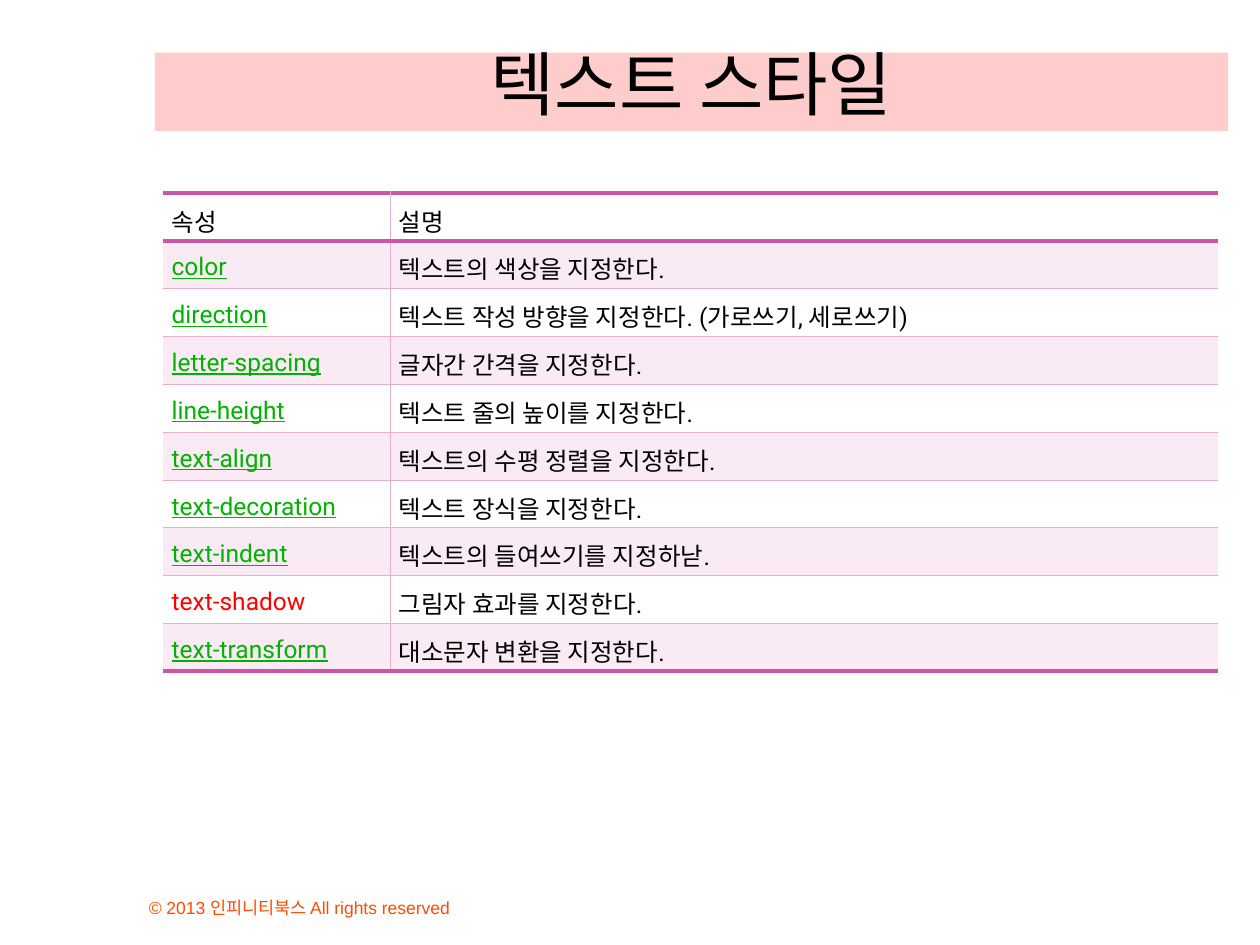
from collections import namedtuple

from lxml.etree import SubElement
from pptx import Presentation
from pptx.dml.color import RGBColor
from pptx.enum.text import MSO_ANCHOR, PP_ALIGN
from pptx.oxml.ns import qn
from pptx.util import Cm, Pt

BLACK = RGBColor(0x00, 0x00, 0x00)
WHITE = RGBColor(0xFF, 0xFF, 0xFF)
GREEN = RGBColor(0x00, 0xB2, 0x00)
RED = RGBColor(0xFF, 0x00, 0x00)
ORANGE = RGBColor(0xFF, 0x4C, 0x00)
TITLE_PINK = RGBColor(0xFF, 0xCC, 0xCC)
BAND_PINK = RGBColor(0xF9, 0xEA, 0xF4)
RULE_PINK = RGBColor(0xE5, 0xAE, 0xD4)
RULE_PURPLE = RGBColor(0xCA, 0x56, 0xA7)

Box = namedtuple("Box", "left top width height")
THIN = (RULE_PINK, 0.28)
THICK = (RULE_PURPLE, 2.55)

HEADER = ("속성", "설명")
PROPERTIES = [
    ("color", "텍스트의 색상을 지정한다."),
    ("direction", "텍스트 작성 방향을 지정한다. (가로쓰기, 세로쓰기)"),
    ("letter-spacing", "글자간 간격을 지정한다."),
    ("line-height", "텍스트 줄의 높이를 지정한다."),
    ("text-align", "텍스트의 수평 정렬을 지정한다."),
    ("text-decoration", "텍스트 장식을 지정한다."),
    ("text-indent", "텍스트의 들여쓰기를 지정하낟."),
    ("text-shadow", "그림자 효과를 지정한다."),
    ("text-transform", "대소문자 변환을 지정한다."),
]
UNLINKED = "text-shadow"


def style_font(para, name, size, color):
    para.font.name = name
    para.font.size = Pt(size)
    para.font.color.rgb = color


def set_borders(cell, left, right, top, bottom):
    properties = cell._tc.get_or_add_tcPr()
    sides = zip(("a:lnL", "a:lnR", "a:lnT", "a:lnB"), (left, right, top, bottom))
    for index, (tag, border) in enumerate(sides):
        line = SubElement(properties, qn(tag))
        properties.insert(index, line)
        if border is None:
            SubElement(line, qn("a:noFill"))
            continue
        color, width = border
        line.set("w", str(Pt(width)))
        fill = SubElement(line, qn("a:solidFill"))
        SubElement(fill, qn("a:srgbClr"), val=str(color))


def add_title(page, box, text):
    title = page.shapes.title
    title.left, title.top, title.width, title.height = box
    title.fill.solid()
    title.fill.fore_color.rgb = TITLE_PINK
    frame = title.text_frame
    frame.text = text
    frame.vertical_anchor = MSO_ANCHOR.BOTTOM
    para = frame.paragraphs[0]
    para.alignment = PP_ALIGN.CENTER
    style_font(para, "Cambria", 40, BLACK)


def fill_cell(cell, text, color, background):
    cell.fill.solid()
    cell.fill.fore_color.rgb = background
    cell.margin_left = cell.margin_right = Cm(0.18)
    cell.margin_top = cell.margin_bottom = Cm(0.05)
    cell.vertical_anchor = MSO_ANCHOR.MIDDLE
    cell.text = text
    para = cell.text_frame.paragraphs[0]
    para.line_spacing = 1.2
    style_font(para, "Roboto", 14, color)
    return para


def add_property_table(page, box, name_width):
    rows = [HEADER] + PROPERTIES
    table = page.shapes.add_table(len(rows), 2, *box).table
    table.first_row = table.horz_banding = False
    table.columns[0].width = name_width
    table.columns[1].width = box.width - name_width
    for row, texts in enumerate(rows):
        background = BAND_PINK if row % 2 else WHITE
        top = THICK if row < 2 else THIN
        bottom = THICK if row in (0, len(rows) - 1) else THIN
        for column, text in enumerate(texts):
            is_name = row > 0 and column == 0
            is_link = is_name and text != UNLINKED
            color = GREEN if is_link else RED if is_name else BLACK
            cell = table.cell(row, column)
            para = fill_cell(cell, text, color, background)
            if row > 0:
                para.alignment = PP_ALIGN.JUSTIFY
            if is_link:
                para.font.underline = True
            left, right = (None, THIN) if column == 0 else (THIN, None)
            set_borders(cell, left, right, top, bottom)


def add_copyright(page, box, text):
    frame = page.shapes.add_textbox(*box).text_frame
    frame.word_wrap = True
    frame.vertical_anchor = MSO_ANCHOR.BOTTOM
    frame.text = text
    style_font(frame.paragraphs[0], "Arial", 10, ORANGE)


def main():
    deck = Presentation()
    deck.slide_width, deck.slide_height = Cm(25.4), Cm(19.05)
    page = deck.slides.add_slide(deck.slide_layouts[5])
    add_copyright(page, Box(Cm(2.75), Cm(17.56), Cm(9.73), Cm(1.07)),
                  "© 2013 인피니티북스 All rights reserved")
    add_title(page, Box(Cm(3.12), Cm(1.06), Cm(21.64), Cm(1.58)), "텍스트 스타일")
    add_property_table(page, Box(Cm(3.28), Cm(3.89), Cm(21.27), Cm(9.64)), Cm(4.58))
    deck.save("out.pptx")


if __name__ == "__main__":
    main()
